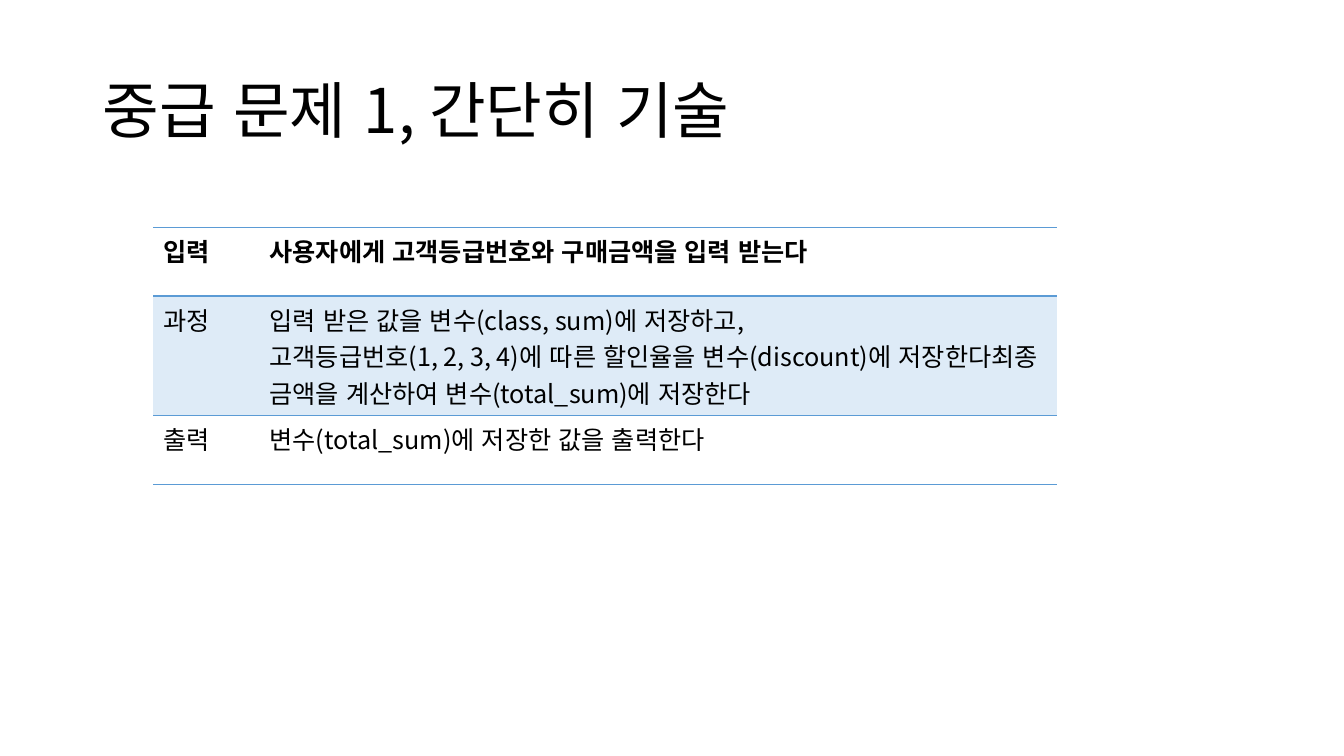
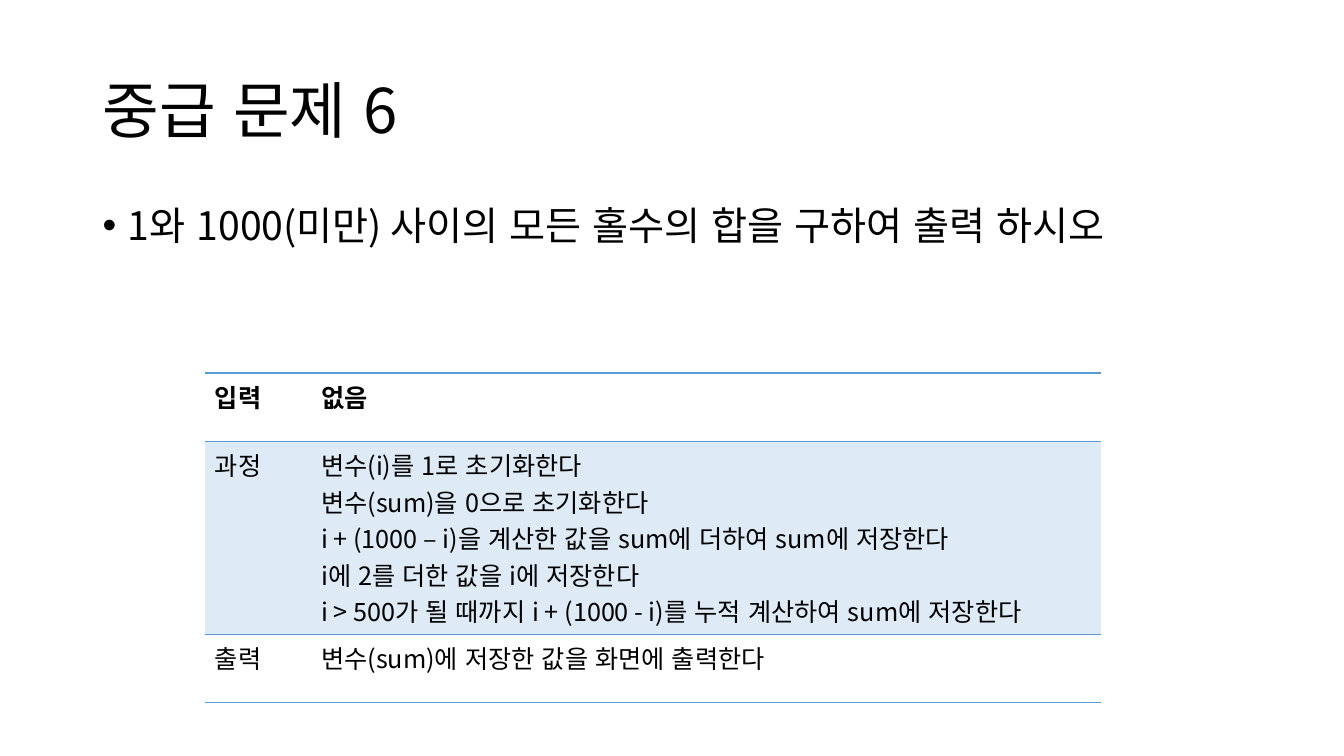
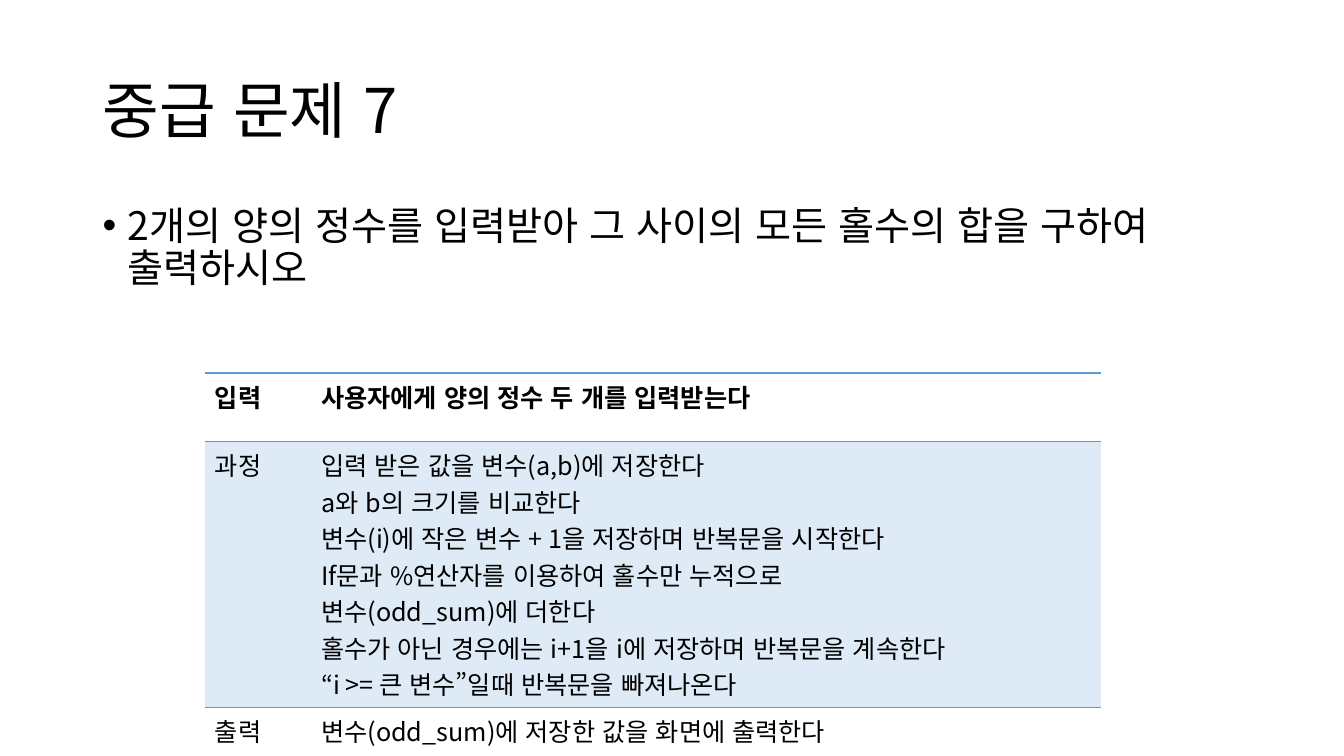
from lxml import etree
from pptx import Presentation
from pptx.dml.color import RGBColor
from pptx.enum.lang import MSO_LANGUAGE_ID
from pptx.enum.text import MSO_ANCHOR, PP_ALIGN
from pptx.oxml.ns import qn
from pptx.util import Cm, Pt

LEFT = PP_ALIGN.LEFT
TOP, MIDDLE = MSO_ANCHOR.TOP, MSO_ANCHOR.MIDDLE
KOREAN = MSO_LANGUAGE_ID.KOREAN

BLACK = RGBColor(0x00, 0x00, 0x00)
ACCENT = RGBColor(0x5B, 0x9B, 0xD5)
BAND = RGBColor(0xDE, 0xEB, 0xF7)
FONT = "Noto Sans CJK KR"

TITLE_BOX = (2.33, 1.01, 29.21, 3.68)
BODY_BOX = (2.33, 5.07, 29.21, 12.09)
ROW_HEIGHT = 1.73
NO_STYLE = "{2D5ABB26-0587-4C30-8999-92F81FD0307C}"
LABELS = ("입력", "과정", "출력")
TITLE_AND_BODY, TITLE_ONLY = 1, 5

SLIDES = [
    {
        "title": "중급 문제 1, 간단히 기술",
        "box": (3.86, 5.73, 22.78),
        "steps": (
            ["사용자에게 고객등급번호와 구매금액을 입력 받는다"],
            [
                "입력 받은 값을 변수(class, sum)에 저장하고,",
                "고객등급번호(1, 2, 3, 4)에 따른 할인율을 변수(discount)에 "
                "저장한다최종 금액을 계산하여 변수(total_sum)에 저장한다",
            ],
            ["변수(total_sum)에 저장한 값을 출력한다"],
        ),
    },
    {
        "title": "중급 문제 6",
        "task": "1와 1000(미만) 사이의 모든 홀수의 합을 구하여 출력 하시오",
        "box": (5.16, 9.4, 22.58),
        "steps": (
            ["없음"],
            [
                "변수(i)를 1로 초기화한다",
                "변수(sum)을 0으로 초기화한다",
                "i + (1000 – i)을 계산한 값을 sum에 더하여 sum에 저장한다",
                "i에 2를 더한 값을 i에 저장한다",
                "i > 500가 될 때까지 i + (1000 - i)를 누적 계산하여 sum에 저장한다",
            ],
            ["변수(sum)에 저장한 값을 화면에 출력한다"],
        ),
    },
    {
        "title": "중급 문제 7",
        "task": "2개의 양의 정수를 입력받아 그 사이의 모든 홀수의 합을 구하여 출력하시오",
        "box": (5.16, 9.4, 22.58),
        "steps": (
            ["사용자에게 양의 정수 두 개를 입력받는다"],
            [
                "입력 받은 값을 변수(a,b)에 저장한다",
                "a와 b의 크기를 비교한다",
                "변수(i)에 작은 변수 + 1을 저장하며 반복문을 시작한다",
                "If문과 %연산자를 이용하여 홀수만 누적으로",
                "변수(odd_sum)에 더한다",
                "홀수가 아닌 경우에는 i+1을 i에 저장하며 반복문을 계속한다",
                "“i >= 큰 변수”일때 반복문을 빠져나온다",
            ],
            ["변수(odd_sum)에 저장한 값을 화면에 출력한다"],
        ),
    },
]


def write_text(tf, lines, size, bold=False, spacing=1.0, bullet=None):
    for i, line in enumerate(lines):
        p = tf.paragraphs[0] if i == 0 else tf.add_paragraph()
        p.alignment = LEFT
        p.line_spacing = spacing
        p.space_before = Pt(0)
        if bullet:
            pPr = p._p.get_or_add_pPr()
            pPr.set("marL", str(Cm(0.64)))
            pPr.set("indent", str(-Cm(0.64)))
            etree.SubElement(pPr, qn("a:buFont")).set("typeface", "Arial")
            etree.SubElement(pPr, qn("a:buChar")).set("char", bullet)
        r = p.add_run()
        r.text = line
        r.font.size = Pt(size)
        r.font.bold = bold
        r.font.name = FONT
        r.font.color.rgb = BLACK
        r.font.language_id = KOREAN
        etree.SubElement(r._r.get_or_add_rPr(), qn("a:ea")).set("typeface", FONT)


def fill_placeholder(sp, box, lines, anchor, **fmt):
    sp.left, sp.top, sp.width, sp.height = (Cm(v) for v in box)
    tf = sp.text_frame
    tf.word_wrap = True
    tf.vertical_anchor = anchor
    write_text(tf, lines, spacing=0.9, **fmt)


def add_borders(cell, sides):
    tcPr = cell._tc.get_or_add_tcPr()
    for i, side in enumerate(sides):
        ln = etree.Element(qn(f"a:ln{side}"), w=str(Pt(1)))
        fill = etree.SubElement(ln, qn("a:solidFill"))
        etree.SubElement(fill, qn("a:srgbClr")).set("val", str(ACCENT))
        tcPr.insert(i, ln)


def add_steps_table(slide, box, steps):
    left, top, width = box
    rows = len(LABELS)
    frame = slide.shapes.add_table(
        rows, 2, Cm(left), Cm(top), Cm(width), Cm(ROW_HEIGHT * rows))
    table = frame.table
    table._tbl.tblPr.find(qn("a:tableStyleId")).text = NO_STYLE
    label_width = 2.68
    table.columns[0].width = Cm(label_width)
    table.columns[1].width = Cm(width - label_width)
    for i, (label, lines) in enumerate(zip(LABELS, steps)):
        table.rows[i].height = Cm(ROW_HEIGHT)
        for cell, content in zip(table.rows[i].cells, ([label], lines)):
            write_text(cell.text_frame, content, 18, bold=i == 0)
            if i == 1:
                cell.fill.solid()
                cell.fill.fore_color.rgb = BAND
            else:
                cell.fill.background()
            add_borders(cell, ("TB", "T", "B")[i])


def add_problem_slide(prs, title, box, steps, task=None):
    layout = prs.slide_layouts[TITLE_AND_BODY if task else TITLE_ONLY]
    slide = prs.slides.add_slide(layout)
    fill_placeholder(slide.shapes.title, TITLE_BOX, [title], MIDDLE, size=44)
    if task:
        fill_placeholder(
            slide.placeholders[1], BODY_BOX, [task], TOP, size=28, bullet="•")
    add_steps_table(slide, box, steps)


def main():
    prs = Presentation()
    prs.slide_width, prs.slide_height = Cm(33.87), Cm(19.05)
    for problem in SLIDES:
        add_problem_slide(prs, **problem)
    prs.save("out.pptx")


if __name__ == "__main__":
    main()
